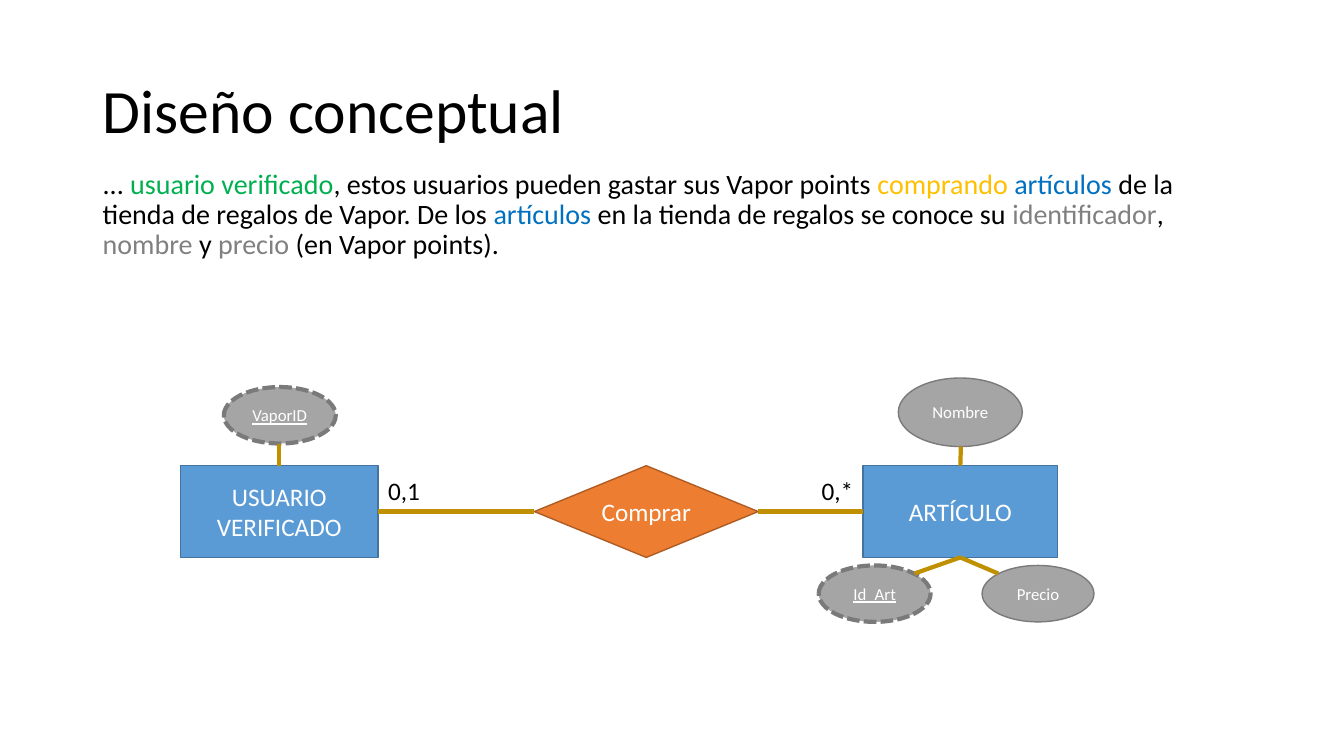
from pptx import Presentation
from pptx.dml.color import RGBColor
from pptx.enum import dml, shapes, text
from pptx.oxml.ns import qn
from pptx.util import Inches, Pt
from lxml import etree

BLACK, GREEN, GOLD, BLUE, GRAY = "000000", "00B050", "FFC000", "0070C0", "808080"
KIND = shapes.MSO_SHAPE


def rgb(code):
    return RGBColor.from_string(code)


def write(shape, runs, size, wrap=True):
    frame = shape.text_frame
    frame.word_wrap = wrap
    par = frame.paragraphs[0]
    par.font.name, par.font.size = "Calibri", Pt(size)
    for words, color in runs:
        run = par.add_run()
        run.text = words
        run.font.color.rgb = rgb(color)
    return par


prs = Presentation()
prs.slide_width, prs.slide_height = Inches(13.33), Inches(7.5)
slide = prs.slides.add_slide(prs.slide_layouts[6])
items = slide.shapes

# Title
title = items.add_textbox(Inches(0.92), Inches(0.4), Inches(11.5), Inches(1.45))
title.text_frame.vertical_anchor = text.MSO_ANCHOR.MIDDLE
write(title, [("Diseño conceptual", BLACK)], 44).line_spacing = 0.9

# Requirement, with the terms of the model in colour
body = items.add_textbox(Inches(0.92), Inches(1.64), Inches(11.5), Inches(1.19))
par = write(body, [
    ("... ", BLACK), ("usuario verificado", GREEN),
    (", estos usuarios pueden gastar sus Vapor points ", BLACK),
    ("comprando ", GOLD), ("artículos ", BLUE),
    ("de la tienda de regalos de Vapor. De los ", BLACK), ("artículos ", BLUE),
    ("en la tienda de regalos se conoce su ", BLACK), ("identificador", GRAY),
    (", ", BLACK), ("nombre ", GRAY), ("y ", BLACK), ("precio ", GRAY),
    ("(en Vapor points).", BLACK)], 20)
par.line_spacing, par.space_before = 0.9, Pt(10)

# Entities, relationship and attributes; keys are dashed and underlined
nodes = {}
for name, kind, x, y, w, h, fill, edge, size, key in [
    ("Comprar", KIND.DIAMOND, 5.3, 4.62, 2.22, 0.91, "ED7D31", "AF5C24", 18, False),
    ("ARTÍCULO", KIND.RECTANGLE, 8.56, 4.62, 1.93, 0.91, "5B9BD5", "43739E", 18, False),
    ("USUARIO VERIFICADO", KIND.RECTANGLE, 1.79, 4.62, 1.96, 0.91, "5B9BD5", "43739E", 18, False),
    ("Id_Art", KIND.OVAL, 8.12, 5.61, 1.11, 0.56, "A5A5A5", "7A7A7A", 12, True),
    ("Precio", KIND.OVAL, 9.74, 5.61, 1.11, 0.56, "A5A5A5", "7A7A7A", 12, False),
    ("Nombre", KIND.OVAL, 8.91, 3.75, 1.23, 0.68, "A5A5A5", "7A7A7A", 12, False),
    ("VaporID", KIND.OVAL, 2.22, 3.84, 1.11, 0.56, "A5A5A5", "7A7A7A", 12, True),
]:
    node = items.add_shape(kind, Inches(x), Inches(y), Inches(w), Inches(h))
    node.shadow.inherit = False
    node.fill.solid()
    node.fill.fore_color.rgb = rgb(fill)
    node.line.color.rgb = rgb(edge)
    node.line.width = Pt(3 if key else 1)
    if key:
        node.line.dash_style = dml.MSO_LINE.SQUARE_DOT
    node.text_frame.vertical_anchor = text.MSO_ANCHOR.MIDDLE
    par = write(node, [(name, "FFFFFF")], size)
    par.alignment = text.PP_ALIGN.CENTER
    par.runs[0].font.underline = key or None
    nodes[name] = node

# Links: node and side at the start, then a node and side or a point
user, buy, item = nodes["USUARIO VERIFICADO"], nodes["Comprar"], nodes["ARTÍCULO"]
for start, side, goal, end in [
    (user, 3, buy, 1), (item, 1, buy, 3),
    (user, 0, None, (2.77, 4.4)), (item, 0, None, (9.53, 4.43)),
    (item, 2, None, (9.07, 5.69)), (item, 2, None, (9.9, 5.69)),
]:
    x, y = (0, 0) if goal else end
    link = items.add_connector(shapes.MSO_CONNECTOR.STRAIGHT, 0, 0, Inches(x), Inches(y))
    link.begin_connect(start, side)
    if goal:
        link.end_connect(goal, end)
    link.line.color.rgb = rgb("BF9000")
    link.line.width = Pt(3)
    etree.SubElement(link._element.spPr, qn("a:effectLst"))

# Cardinalities
for mark, x in [("0,1", 3.75), ("0,*", 8.05)]:
    label = items.add_textbox(Inches(x), Inches(4.67), Inches(0.52), Inches(0.4))
    write(label, [(mark, BLACK)], 18, wrap=False)

prs.save("out.pptx")
